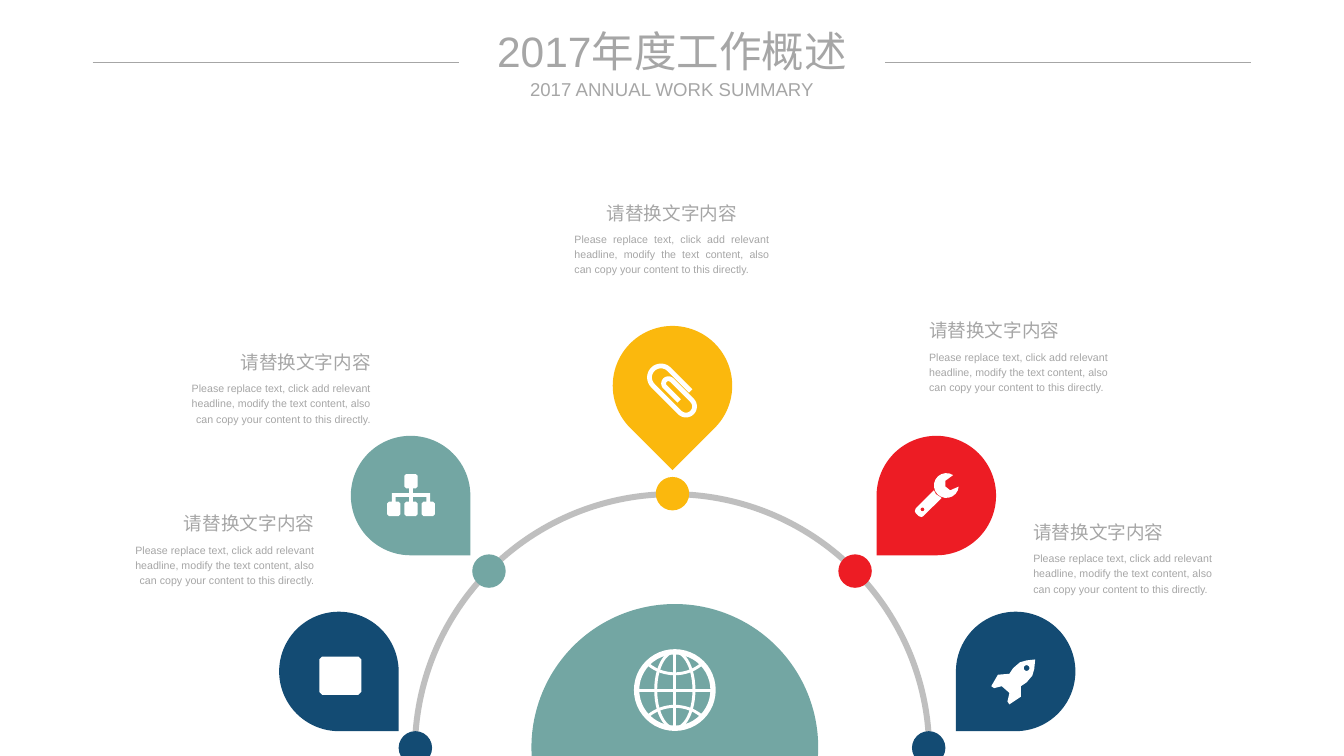
from dataclasses import dataclass
from math import cos, radians, sin

from lxml.etree import SubElement
from pptx import Presentation
from pptx.dml.color import RGBColor
from pptx.enum.shapes import MSO_CONNECTOR as Connector, MSO_SHAPE as Shape
from pptx.enum.text import MSO_ANCHOR as Anchor, PP_ALIGN as Align
from pptx.util import Inches, Pt


@dataclass(frozen=True)
class Theme:
    """Colours, font and type sizes of the slide."""
    navy: str = "134B73"
    teal: str = "73A6A3"
    gold: str = "FBB80D"
    red: str = "ED1C24"
    white: str = "FFFFFF"
    text: str = "A6A6A6"
    ring: str = "BFBFBF"
    font: str = "Arial"
    title: int = 32
    heading: int = 14
    body: int = 8


THEME = Theme()
HEADING = "请替换文字内容"
BODY = ("Please replace text, click add relevant headline, modify the text content, "
        "also can copy your content to this directly.")


def curve(x, y, radius, start=0, sweep=360):
    """Return points along a circle, with angles in degrees."""
    angles = [radians(start + sweep * step / 16) for step in range(17)]
    return [(x + radius * cos(angle), y + radius * sin(angle)) for angle in angles]


def block(x, y, width, height, cut=0.02):
    """Return the points of a rectangle with cut corners."""
    right, bottom = x + width, y + height
    return [(x + cut, y), (right - cut, y), (right, y + cut), (right, bottom - cut),
            (right - cut, bottom), (x + cut, bottom), (x, bottom - cut), (x, y + cut)]


COLUMNS = [0.38 + 0.18 * step for step in range(3)]
BOARD = [block(0.42, 0.47, 0.44, 0.4, 0.03)]
TREE = [block(COLUMNS[1], 0.4, 0.14, 0.15), block(0.61, 0.55, 0.04, 0.05, 0),
        block(0.43, 0.6, 0.4, 0.04, 0),
        *(block(x, 0.69, 0.14, 0.15) for x in COLUMNS),
        *(block(x + 0.05, 0.64, 0.04, 0.05, 0) for x in COLUMNS)]
WRENCH = [[(0.6, 0.57), (0.62, 0.61), (0.68, 0.65), (0.49, 0.84), (0.47, 0.85), (0.44, 0.84),
           (0.41, 0.81), (0.4, 0.79), (0.41, 0.76)], curve(0.48, 0.77, 0.02, 0, -360),
          curve(0.73, 0.52, 0.13, 5, 298) + [(0.72, 0.47), (0.72, 0.53), (0.77, 0.57)]]
ROCKET = [[(0.74, 0.74), (0.68, 0.78), (0.68, 0.89), (0.56, 0.97), (0.54, 0.94), (0.56, 0.85),
           (0.48, 0.78), (0.4, 0.8), (0.37, 0.78), (0.44, 0.66), (0.56, 0.65), (0.6, 0.59),
           (0.67, 0.53), (0.74, 0.51), (0.83, 0.5), (0.82, 0.6), (0.8, 0.67)],
          curve(0.74, 0.59, 0.03, 0, -360)]
CLIP = [[(0.14, -0.13), *curve(-0.18, -0.01, 0.12, 270, -180), *curve(0.22, 0.02, 0.09, 90, -180),
         *curve(-0.08, -0.02, 0.05, 270, -180), (0.13, 0.03)]]


def paint(shape, fill=None, line=None, weight=1):
    """Give a shape a flat fill and outline, each only if named."""
    shape.shadow.inherit = False
    shape.fill.background()
    shape.line.fill.background()
    if fill:
        shape.fill.solid()
        shape.fill.fore_color.rgb = RGBColor.from_string(fill)
    if line:
        shape.line.color.rgb = RGBColor.from_string(line)
        shape.line.width = Pt(weight)
    return shape


def add_preset(page, kind, left, top, width, height, **style):
    """Add a preset shape in the given box."""
    box = (Inches(length) for length in (left, top, width, height))
    return paint(page.shapes.add_shape(kind, *box), **style)


def add_outline(page, left, top, contours, closed=True, **style):
    """Add one freeform whose contours are offsets from left and top."""
    placed = [[(Inches(left + x), Inches(top + y)) for x, y in points] for points in contours]
    builder = page.shapes.build_freeform(*placed[0][0])
    for number, spots in enumerate(placed):
        if number:
            builder.move_to(*spots[0])
        builder.add_line_segments(spots[1:], close=closed)
    return paint(builder.convert_to_shape(), **style)


def add_line(page, start, end, colour, weight):
    """Add a straight line without shadow."""
    ends = (Inches(length) for length in (*start, *end))
    line = page.shapes.add_connector(Connector.STRAIGHT, *ends)
    line.line.color.rgb = RGBColor.from_string(colour)
    line.line.width = Pt(weight)
    SubElement(line._element.spPr, "{http://schemas.openxmlformats.org/drawingml/2006/main}effectLst")


def write(box, text, size, align, anchor=Anchor.TOP, spacing=1.0):
    """Put one paragraph into a box without insets."""
    frame = box.text_frame
    frame.word_wrap = True
    frame.vertical_anchor = anchor
    frame.margin_left = frame.margin_right = frame.margin_top = frame.margin_bottom = 0
    frame.text = text
    para = frame.paragraphs[0]
    para.alignment, para.line_spacing = align, spacing
    para.font.name, para.font.size = THEME.font, Pt(size)
    para.font.color.rgb = RGBColor.from_string(THEME.text)


def add_text(page, left, top, width, height, *words, **layout):
    """Add a text box with one paragraph."""
    box = page.shapes.add_textbox(*(Inches(n) for n in (left, top, width, height)))
    write(box, *words, **layout)


def add_header(page, left, top, width):
    """Place the title, subtitle and the two rules beside them."""
    middle = left + width / 2
    title = page.shapes.title
    title.left, title.top = Inches(middle - 2.16), Inches(top)
    title.width, title.height = Inches(4.32), Inches(0.54)
    write(title, "2017年度工作概述", THEME.title, Align.CENTER, Anchor.MIDDLE)
    add_text(page, middle - 1.53, top + 0.55, 3.06, 0.24, "2017 ANNUAL WORK SUMMARY",
             THEME.heading, Align.CENTER, anchor=Anchor.MIDDLE)
    for start in (left, left + width - 3.83):
        add_line(page, (start, top + 0.39), (start + 3.83, top + 0.39), THEME.text, 0.5)


def add_globe(page, left, top, size):
    """Draw the globe from its rim, meridians and parallels."""
    pen = {"line": THEME.white, "weight": 2.2}
    middle, across, reach = left + size / 2, top + size / 2, size / 2 - 0.03
    add_preset(page, Shape.OVAL, left + 0.03, top + 0.03, 2 * reach, 2 * reach,
               line=THEME.white, weight=4)
    add_preset(page, Shape.OVAL, middle - 0.2, across - reach, 0.4, 2 * reach, **pen)
    add_line(page, (middle, across - reach), (middle, across + reach), THEME.white, 2.2)
    add_line(page, (middle - reach, across), (middle + reach, across), THEME.white, 2.2)
    for side in (-1, 1):
        parallel = curve(0, side * 0.61, 0.44, side * -52, side * -76)
        add_outline(page, middle, across, [parallel], closed=False, **pen)


def add_hub(page, left, top, size):
    """Place the half disc with its globe."""
    disc = add_preset(page, Shape.CHORD, left, top, size, size, fill=THEME.teal)
    disc.adjustments[0], disc.adjustments[1] = 105.35, 2.32
    add_globe(page, left + 1.07, top + 0.47, 0.86)


def add_ring(page, left, top, size):
    """Place the half circle that joins the milestones."""
    ring = add_preset(page, Shape.ARC, left, top, size, size, line=THEME.ring, weight=4.5)
    ring.adjustments[0], ring.adjustments[1] = 107.69, 0


def add_pin(page, left, top, colour, turn, icon):
    """Place a drop that points to the ring, with its icon."""
    add_preset(page, Shape.TEAR, left, top, 1.25, 1.25, fill=colour).rotation = turn
    if icon is CLIP:
        add_outline(page, left + 0.63, top + 0.68, icon, closed=False,
                    line=THEME.white, weight=3.6).rotation = 45
    else:
        add_outline(page, left, top, icon, fill=THEME.white)


def add_caption(page, left, top, width, heading_align, body_align):
    """Place a heading with its description below."""
    add_text(page, left, top, width, 0.24, HEADING, THEME.heading, heading_align)
    add_text(page, left, top + 0.3, width, 0.48, BODY, THEME.body, body_align, spacing=1.2)


def main():
    """Build the slide and save it."""
    deck = Presentation()
    deck.slide_width, deck.slide_height = Inches(14.06), Inches(7.91)
    page = deck.slides.add_slide(deck.slide_layouts[5])
    add_header(page, 0.97, 0.26, 12.12)
    add_hub(page, 5.56, 6.32, 3)
    add_ring(page, 4.34, 5.17, 5.38)
    right, left, centre, full = Align.RIGHT, Align.LEFT, Align.CENTER, Align.JUSTIFY
    milestones = [
        (THEME.navy, (4.17, 7.65), (2.92, 6.4), 90, BOARD, (1.36, 5.36, 1.93, right, right)),
        (THEME.teal, (4.94, 5.8), (3.67, 4.56), 90, TREE, (1.92, 3.67, 1.96, right, right)),
        (THEME.gold, (6.86, 4.99), (6.41, 3.41), 135, CLIP, (6.01, 2.11, 2.04, centre, full)),
        (THEME.red, (8.77, 5.8), (9.17, 4.56), 180, WRENCH, (9.72, 3.34, 2.04, left, left)),
        (THEME.navy, (9.54, 7.65), (10, 6.4), 180, ROCKET, (10.81, 5.45, 1.96, left, left)),
    ]
    for colour, dot, pin, turn, icon, caption in milestones:
        add_preset(page, Shape.OVAL, *dot, 0.35, 0.35, fill=colour)
        add_pin(page, *pin, colour, turn, icon)
        add_caption(page, *caption)
    deck.save("out.pptx")


if __name__ == "__main__":
    main()
